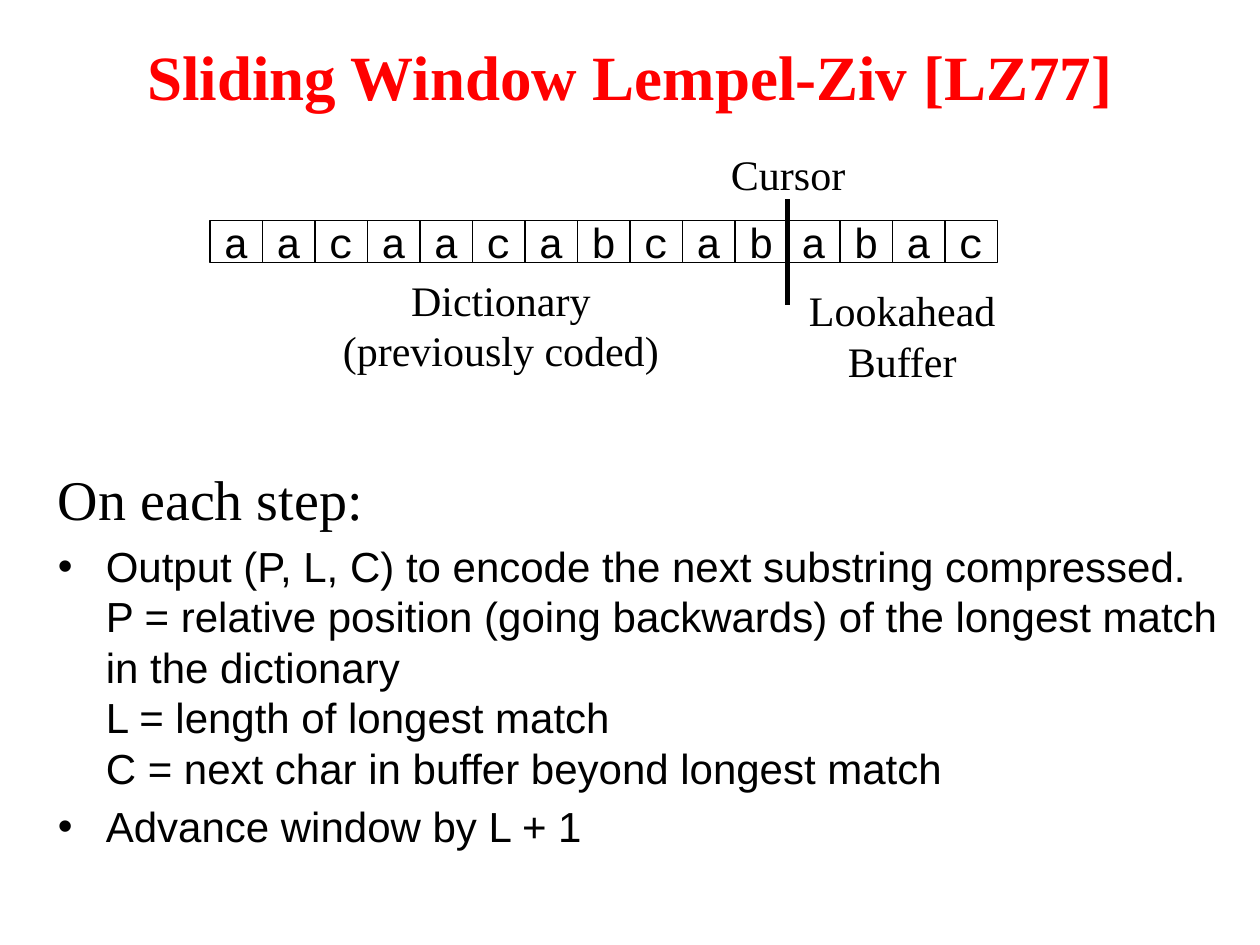
from lxml import etree
from pptx import Presentation
from pptx.dml.color import RGBColor
from pptx.enum.shapes import MSO_CONNECTOR, MSO_SHAPE
from pptx.enum.text import MSO_ANCHOR, MSO_AUTO_SIZE, PP_ALIGN
from pptx.oxml.ns import qn
from pptx.util import Inches, Pt

RECT, STRAIGHT = MSO_SHAPE.RECTANGLE, MSO_CONNECTOR.STRAIGHT
TOP, MIDDLE = MSO_ANCHOR.TOP, MSO_ANCHOR.MIDDLE
LEFT, CENTER = PP_ALIGN.LEFT, PP_ALIGN.CENTER
NO_FIT = MSO_AUTO_SIZE.NONE

TITLE = "Sliding Window Lempel-Ziv [LZ77]"
LEAD = "On each step:"
STEPS = [
    "Output (P, L, C) to encode the next substring compressed.\n"
    "P = relative position (going backwards) of the longest match in the dictionary\n"
    "L = length of longest match\n"
    "C = next char in buffer beyond longest match",
    "Advance window by L + 1",
]
CODED, AHEAD = "aacaacabcab", "abac"
DICT = (["Dictionary\n(previously coded)"], (2.62, 2.13, 2.71, 0.9))
BUFFER = (["Lookahead", "Buffer"], (6.32, 2.21, 1.68, 0.9))
CURSOR = (["Cursor"], (5.7, 1.13, 1.11, 0.5))

BLACK, WHITE, RED = (RGBColor.from_string(c) for c in ("000000", "FFFFFF", "FF0000"))
THEME = {
    "title": {"name": "Times New Roman", "size": Pt(36), "bold": True, "color": RED},
    "lead": {"name": "Times New Roman", "size": Pt(32), "color": BLACK},
    "step": {"name": "Arial", "size": Pt(24), "color": BLACK},
    "cell": {"name": "Courier New", "size": Pt(24), "color": BLACK},
    "label": {"name": "Times New Roman", "size": Pt(24), "color": BLACK},
}

ROW_X, ROW_Y = 5 / 3, 1.75
CELL_W, CELL_H = 5 / 12, 1 / 3
MARK_TOP, MARK_END = 1.58, 2.42
HANG = Inches(0.38)


def box(x, y, w, h):
    return [Inches(v) for v in (x, y, w, h)]


def place(shape, *spot):
    for key, val in zip(("left", "top", "width", "height"), box(*spot)):
        setattr(shape, key, val)


def write(para, text, style, align):
    para.text = text
    para.alignment = align
    for run in para.runs:
        for key, val in THEME[style].items():
            if key == "color":
                run.font.color.rgb = val
            else:
                setattr(run.font, key, val)


def fill(frame, lines, style, anchor=TOP, wrap=False):
    """Write centred lines, one paragraph each."""
    frame.word_wrap = wrap
    frame.auto_size = NO_FIT
    frame.vertical_anchor = anchor
    for i, text in enumerate(lines):
        para = frame.add_paragraph() if i else frame.paragraphs[0]
        write(para, text, style, CENTER)


def indent(para, mark=None):
    """Hang the paragraph behind a bullet mark, or set it flush without one."""
    props = para._p.get_or_add_pPr()
    hang = HANG if mark else 0
    props.set("marL", str(hang))
    props.set("indent", str(-hang))
    bullet = etree.SubElement(props, qn("a:buChar" if mark else "a:buNone"))
    if mark:
        bullet.set("char", mark)


def add_label(shapes, lines, spot):
    fill(shapes.add_textbox(*box(*spot)).text_frame, lines, "label")


def add_cell(shapes, i, char):
    cell = shapes.add_shape(RECT, *box(ROW_X + i * CELL_W, ROW_Y, CELL_W, CELL_H))
    cell.shadow.inherit = False
    cell.fill.solid()
    cell.fill.fore_color.rgb = WHITE
    cell.line.color.rgb = BLACK
    cell.line.width = Pt(0.75)
    fill(cell.text_frame, [char], "cell", MIDDLE)


def add_mark(shapes):
    x = ROW_X + len(CODED) * CELL_W
    mark = shapes.add_connector(STRAIGHT, *box(x, MARK_TOP, x, MARK_END))
    mark.line.color.rgb = BLACK
    mark.line.width = Pt(3)
    etree.SubElement(mark._element.spPr, qn("a:effectLst"))


def add_steps(body):
    place(body, 0.36, 3.57, 9.7, 3.69)
    frame = body.text_frame
    frame.word_wrap = True
    frame.auto_size = NO_FIT
    frame.margin_top = Inches(0.12)
    lead = frame.paragraphs[0]
    indent(lead)
    write(lead, LEAD, "lead", LEFT)
    lead.space_before = Pt(0)
    for text in STEPS:
        para = frame.add_paragraph()
        indent(para, "•")
        write(para, text, "step", LEFT)
        para.space_before = Pt(4.8)


def main():
    deck = Presentation()
    deck.slide_width, deck.slide_height = Inches(10), Inches(7.5)
    slide = deck.slides.add_slide(deck.slide_layouts[1])
    title, body = slide.placeholders
    place(title, 0.75, 0.14, 8.5, 0.92)
    fill(title.text_frame, [TITLE], "title", MIDDLE, True)
    add_steps(body)

    window = slide.shapes.add_group_shape().shapes
    for i, char in enumerate(CODED + AHEAD):
        add_cell(window, i, char)
    add_mark(window)
    for lines, spot in (DICT, BUFFER):
        add_label(window, lines, spot)
    add_label(slide.shapes, *CURSOR)
    deck.save("out.pptx")


if __name__ == "__main__":
    main()
